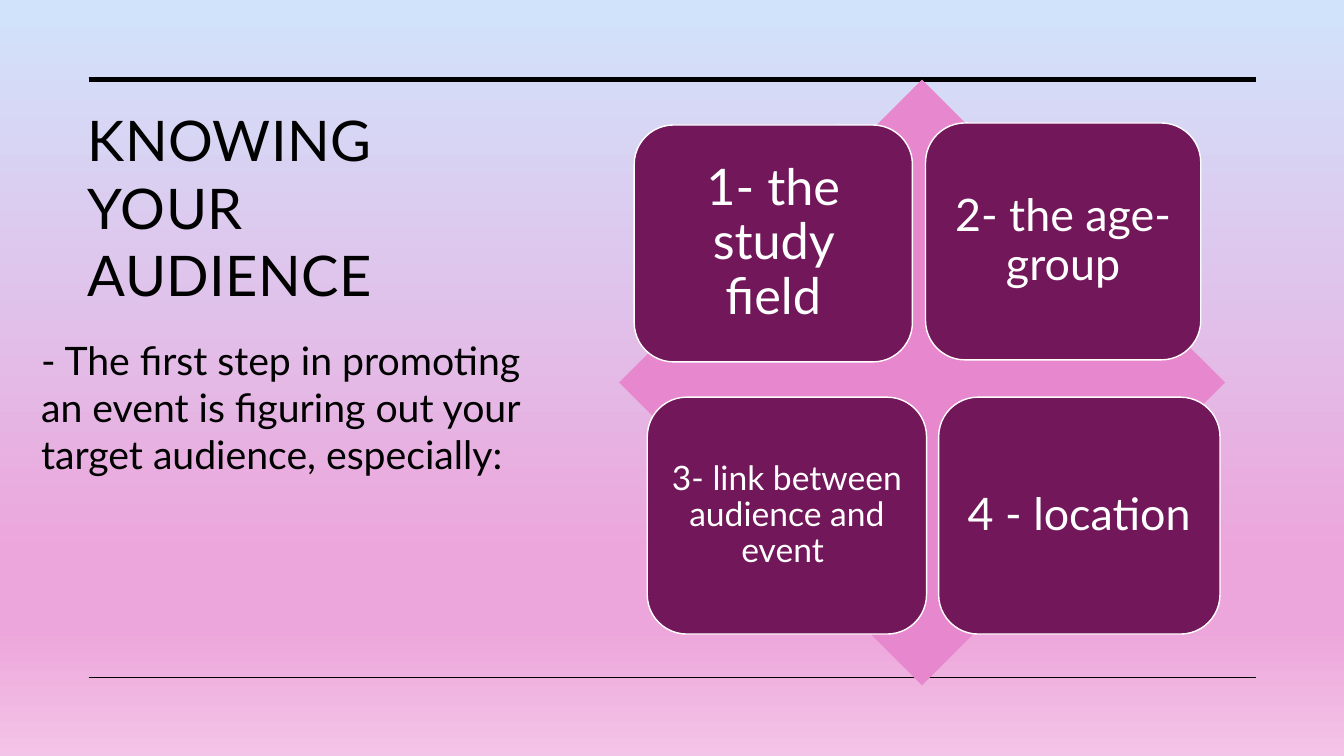
import dataclasses

import lxml.etree
import pptx
import pptx.dml.color
import pptx.enum.shapes
import pptx.enum.text
import pptx.oxml.ns
import pptx.util

Inches = pptx.util.Inches
Pt = pptx.util.Pt
qn = pptx.oxml.ns.qn
Shapes = pptx.enum.shapes.MSO_SHAPE
Align = pptx.enum.text.PP_ALIGN
Anchor = pptx.enum.text.MSO_ANCHOR


@dataclasses.dataclass(frozen=True)
class Theme:
    font: str = "Lato"
    ink: str = "000000"
    card: str = "71175A"
    card_text: str = "FFFFFF"
    diamond: str = "E788CE"
    background: tuple = ((1, "D1E2FB"), (74, "EDA6DB"), (83, "EDA6DB"), (100, "F3C4E7"))
    title_size: int = 40
    body_size: int = 28
    card_large: int = 36
    card_medium: int = 32
    card_small: int = 24
    thick_rule: float = 3.5
    thin_rule: float = 1


THEME = Theme()


def rgb(color):
    return pptx.dml.color.RGBColor.from_string(color)


def set_background(slide):
    fill = slide.background.fill
    fill.gradient()
    fill.gradient_angle = 270
    stops = slide.element.find(".//" + qn("a:gsLst"))
    for stop in list(stops):
        stops.remove(stop)
    for percent, color in THEME.background:
        stop = lxml.etree.SubElement(stops, qn("a:gs"), pos=str(percent * 1000))
        lxml.etree.SubElement(stop, qn("a:srgbClr"), val=color)


def write_text(text_frame, text, size, color, align=Align.LEFT, line_spacing=1.0):
    text_frame.word_wrap = True
    text_frame.text = text
    paragraph = text_frame.paragraphs[0]
    paragraph.alignment = align
    paragraph.line_spacing = line_spacing
    font = paragraph.runs[0].font
    font.name = THEME.font
    font.size = Pt(size)
    font.color.rgb = rgb(color)


def add_rule(slide, left, right, top, width):
    rule = slide.shapes.add_connector(
        pptx.enum.shapes.MSO_CONNECTOR.STRAIGHT,
        Inches(left), Inches(top), Inches(right), Inches(top),
    )
    rule.line.color.rgb = rgb(THEME.ink)
    rule.line.width = Pt(width)
    lxml.etree.SubElement(rule.element.spPr, qn("a:effectLst"))


def place_title(slide, text):
    title = slide.shapes.title
    title.left, title.top = Inches(0.77), Inches(1)
    title.width, title.height = Inches(4.28), Inches(4.35)
    title.text_frame.auto_size = pptx.enum.text.MSO_AUTO_SIZE.NONE
    title.text_frame.vertical_anchor = Anchor.TOP
    write_text(title.text_frame, text, THEME.title_size, THEME.ink)
    title.text_frame.paragraphs[0].runs[0].font._element.set("spc", "30")


def add_body(slide, text):
    box = slide.shapes.add_textbox(Inches(0.31), Inches(3.29), Inches(5.06), Inches(1.82))
    write_text(box.text_frame, text, THEME.body_size, THEME.ink)
    box.text_frame.auto_size = pptx.enum.text.MSO_AUTO_SIZE.SHAPE_TO_FIT_TEXT


def add_filled_shape(shapes, kind, left, top, width, height, color):
    shape = shapes.add_shape(kind, Inches(left), Inches(top), Inches(width), Inches(height))
    shape.shadow.inherit = False
    shape.fill.solid()
    shape.fill.fore_color.rgb = rgb(color)
    shape.line.fill.background()
    return shape


def add_card(shapes, text, left, top, width, size, inset):
    card = add_filled_shape(shapes, Shapes.ROUNDED_RECTANGLE, left, top, width, 2.35, THEME.card)
    card.line.color.rgb = rgb(THEME.card_text)
    card.line.width = Pt(THEME.thin_rule)
    frame = card.text_frame
    frame.margin_left = frame.margin_right = Inches(inset)
    frame.margin_top = frame.margin_bottom = Inches(inset)
    frame.vertical_anchor = Anchor.MIDDLE
    write_text(frame, text, size, THEME.card_text, Align.CENTER, 0.9)


def add_audience_matrix(slide):
    shapes = slide.shapes.add_group_shape().shapes
    add_filled_shape(shapes, Shapes.DIAMOND, 6.14, 0.79, 6.01, 6.01, THEME.diamond)
    cards = (
        ("1- the study field", 6.29, 1.24, 2.76, THEME.card_large, 0.15),
        ("2- the age-group", 9.18, 1.22, 2.73, THEME.card_medium, 0.13),
        ("3- link between audience and event ", 6.42, 3.94, 2.77, THEME.card_small, 0.1),
        ("4 - location", 9.31, 3.94, 2.79, THEME.card_medium, 0.13),
    )
    for card in cards:
        add_card(shapes, *card)


def main():
    presentation = pptx.Presentation()
    presentation.slide_width = Inches(13.33)
    presentation.slide_height = Inches(7.5)
    slide = presentation.slides.add_slide(presentation.slide_layouts.get_by_name("Title Only"))
    set_background(slide)
    add_rule(slide, 0.88, 12.46, 0.79, THEME.thick_rule)
    add_rule(slide, 0.88, 12.46, 6.72, THEME.thin_rule)
    add_rule(slide, 0.88, 2.54, 0.79, THEME.thick_rule)
    place_title(slide, "KNOWING YOUR AUDIENCE")
    add_audience_matrix(slide)
    add_body(
        slide,
        "- The first step in promoting an event is figuring out your target audience, especially:",
    )
    presentation.save("out.pptx")


if __name__ == "__main__":
    main()
